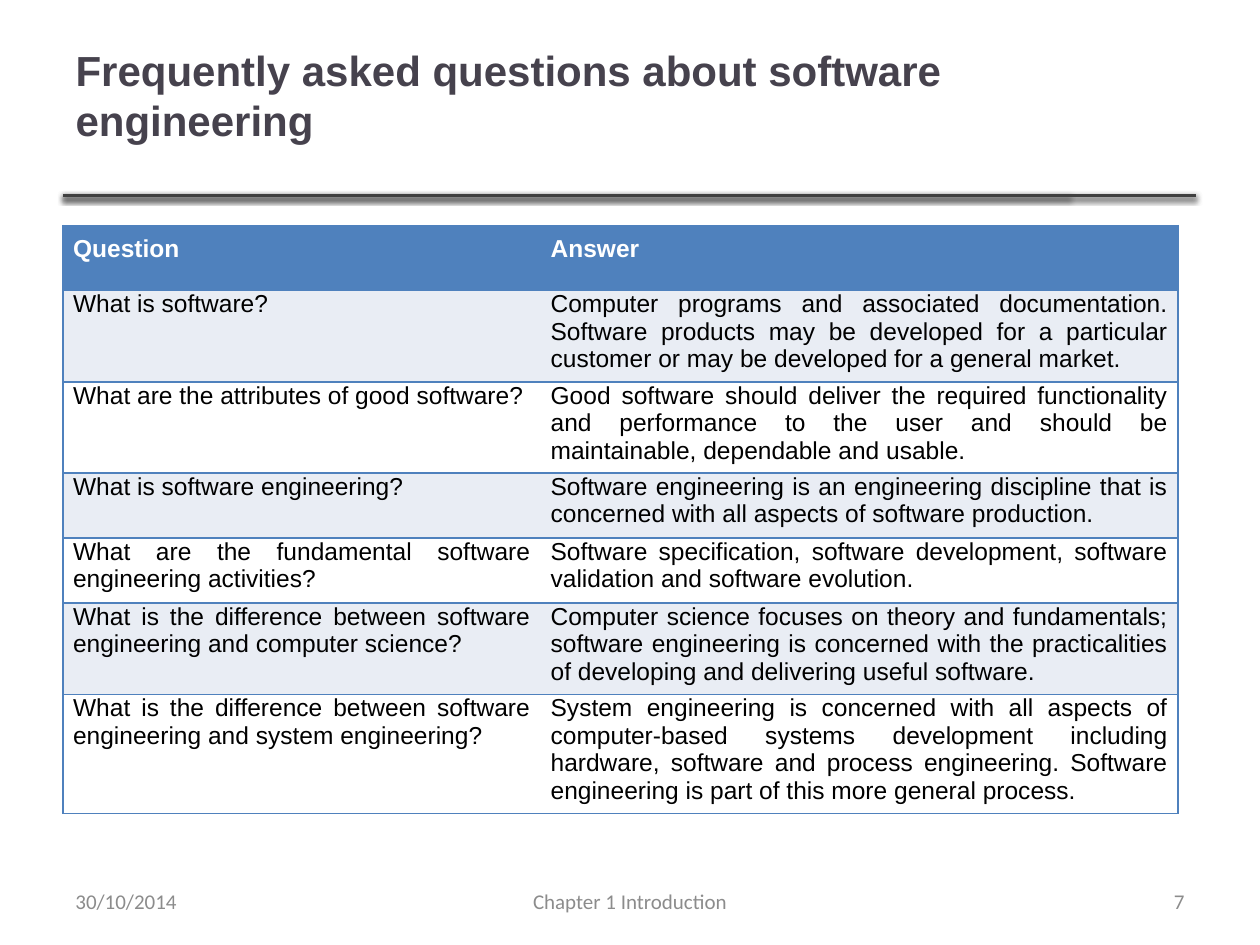
from dataclasses import dataclass

import lxml.etree
import pptx
import pptx.dml.color
import pptx.enum.shapes
import pptx.enum.text
import pptx.oxml.ns
import pptx.util

Pt = pptx.util.Pt
ALIGN = pptx.enum.text.PP_ALIGN
MIDDLE = pptx.enum.text.MSO_ANCHOR.MIDDLE


@dataclass(frozen=True)
class Theme:
    title: str = "46424D"
    rule: str = "404040"
    accent: str = "4F81BD"
    band: str = "E9EDF4"
    white: str = "FFFFFF"
    black: str = "000000"
    footer: str = "8C8C8C"
    heading_font: str = "Arial"
    footer_font: str = "Calibri"
    title_size: float = 24
    table_size: float = 14
    footer_size: float = 12


@dataclass(frozen=True)
class Box:
    left: float
    top: float
    width: float
    height: float

    def lengths(self) -> tuple:
        return Pt(self.left), Pt(self.top), Pt(self.width), Pt(self.height)


@dataclass(frozen=True)
class FooterItem:
    text: str
    box: Box
    align: ALIGN


@dataclass(frozen=True)
class TableRow:
    question: str
    answer: str
    height: float


THEME = Theme()
TITLE = "Frequently asked questions about software engineering"
TITLE_BOX = Box(36, 21.6, 605.5, 92.9)
RULE_LEFT, RULE_TOP = 36, 111.6
RULE_ENDS = (611.3, 683.3, 683.3)
TABLE_BOX = Box(36, 128.9, 637.2, 319)
COLUMN_WIDTHS = (272.9, 364.3)
ROWS = (
    TableRow("Question", "Answer", 37.1),
    TableRow("What is software?",
             "Computer programs and associated documentation. Software products may be "
             "developed for a particular customer or may be developed for a general market.", 48.2),
    TableRow("What are the attributes of good software?",
             "Good software should deliver the required functionality and performance to "
             "the user and should be maintainable, dependable and usable.", 48.2),
    TableRow("What is software engineering?",
             "Software engineering is an engineering discipline that is concerned with all "
             "aspects of software production.", 37.1),
    TableRow("What are the fundamental software engineering activities?",
             "Software specification, software development, software validation and "
             "software evolution.", 37.1),
    TableRow("What is the difference between software engineering and computer science?",
             "Computer science focuses on theory and fundamentals; software engineering is "
             "concerned with the practicalities of developing and delivering useful software.", 48.2),
    TableRow("What is the difference between software engineering and system engineering?",
             "System engineering is concerned with all aspects of computer-based systems "
             "development including hardware, software and process engineering. Software "
             "engineering is part of this more general process.", 61.9),
)
FOOTER = (
    FooterItem("30/10/2014", Box(36, 500.5, 168, 28.75), ALIGN.LEFT),
    FooterItem("Chapter 1 Introduction", Box(246, 500.5, 228, 28.75), ALIGN.CENTER),
    FooterItem("7", Box(516, 500.5, 168, 28.75), ALIGN.RIGHT),
)


def color(value: str) -> pptx.dml.color.RGBColor:
    return pptx.dml.color.RGBColor.from_string(value)


def add_element(parent, tag: str, **attributes):
    return lxml.etree.SubElement(
        parent, pptx.oxml.ns.qn(tag), {name: str(value) for name, value in attributes.items()})


def write_text(frame, text: str, *, size: float, font: str, fill: str,
               bold: bool = False, align: ALIGN = ALIGN.LEFT) -> None:
    frame.word_wrap = True
    paragraph = frame.paragraphs[0]
    paragraph.alignment = align
    run = paragraph.add_run()
    run.text = text
    run.font.size = Pt(size)
    run.font.name = font
    run.font.bold = bold
    run.font.color.rgb = color(fill)


def add_rule(slide, end: float) -> None:
    """Draw the line under the title with its soft downward shadow."""
    rule = slide.shapes.add_connector(
        pptx.enum.shapes.MSO_CONNECTOR.STRAIGHT,
        Pt(RULE_LEFT), Pt(RULE_TOP), Pt(end), Pt(RULE_TOP))
    rule.line.color.rgb = color(THEME.rule)
    rule.line.width = Pt(2)
    effects = add_element(rule._element.spPr, "a:effectLst")
    shadow = add_element(effects, "a:outerShdw", blurRad=Pt(3.1), dist=Pt(1.6),
                         dir=90 * 60000, rotWithShape=0)
    shadow_color = add_element(shadow, "a:srgbClr", val=THEME.black)
    add_element(shadow_color, "a:alpha", val=38000)


def set_borders(cell, open_side: str) -> None:
    """Outline a cell, leaving the side next to its neighbour column without a line."""
    properties = cell._tc.get_or_add_tcPr()
    for side in ("lnL", "lnR", "lnT", "lnB"):
        line = add_element(properties, f"a:{side}", w=Pt(1))
        if side == open_side:
            add_element(line, "a:noFill")
        else:
            add_element(add_element(line, "a:solidFill"), "a:srgbClr", val=THEME.accent)


def format_cell(cell, text: str, row_index: int, column_index: int) -> None:
    header = row_index == 0
    set_borders(cell, "lnL" if column_index else "lnR")
    cell.margin_left = cell.margin_right = Pt(5.76)
    cell.margin_top = Pt(5.76 if header else 0)
    cell.margin_bottom = Pt(5.76 if header else 5)
    cell.fill.solid()
    body_fill = THEME.band if row_index % 2 else THEME.white
    cell.fill.fore_color.rgb = color(THEME.accent if header else body_fill)
    write_text(cell.text_frame, text, size=THEME.table_size, font=THEME.heading_font,
               fill=THEME.white if header else THEME.black, bold=header, align=ALIGN.JUSTIFY)


def add_question_table(slide) -> None:
    table = slide.shapes.add_table(
        len(ROWS), len(COLUMN_WIDTHS), *TABLE_BOX.lengths()).table
    for column, width in zip(table.columns, COLUMN_WIDTHS):
        column.width = Pt(width)
    for row_index, row in enumerate(ROWS):
        table.rows[row_index].height = Pt(row.height)
        for column_index, text in enumerate((row.question, row.answer)):
            format_cell(table.cell(row_index, column_index), text, row_index, column_index)


def add_title(slide) -> None:
    title = slide.shapes.title
    title.left, title.top, title.width, title.height = TITLE_BOX.lengths()
    frame = title.text_frame
    frame.auto_size = pptx.enum.text.MSO_AUTO_SIZE.NONE
    frame.vertical_anchor = MIDDLE
    frame.margin_bottom = Pt(31.2)
    write_text(frame, TITLE, size=THEME.title_size, font=THEME.heading_font,
               fill=THEME.title, bold=True)


def add_footer_item(slide, item: FooterItem) -> None:
    frame = slide.shapes.add_textbox(*item.box.lengths()).text_frame
    frame.vertical_anchor = MIDDLE
    write_text(frame, item.text, size=THEME.footer_size, font=THEME.footer_font,
               fill=THEME.footer, align=item.align)


def main() -> None:
    presentation = pptx.Presentation()
    presentation.slide_width, presentation.slide_height = Pt(720), Pt(540)
    slide = presentation.slides.add_slide(presentation.slide_layouts.get_by_name("Title Only"))
    for end in RULE_ENDS:
        add_rule(slide, end)
    add_title(slide)
    add_question_table(slide)
    for item in FOOTER:
        add_footer_item(slide, item)
    presentation.save("out.pptx")


if __name__ == "__main__":
    main()
